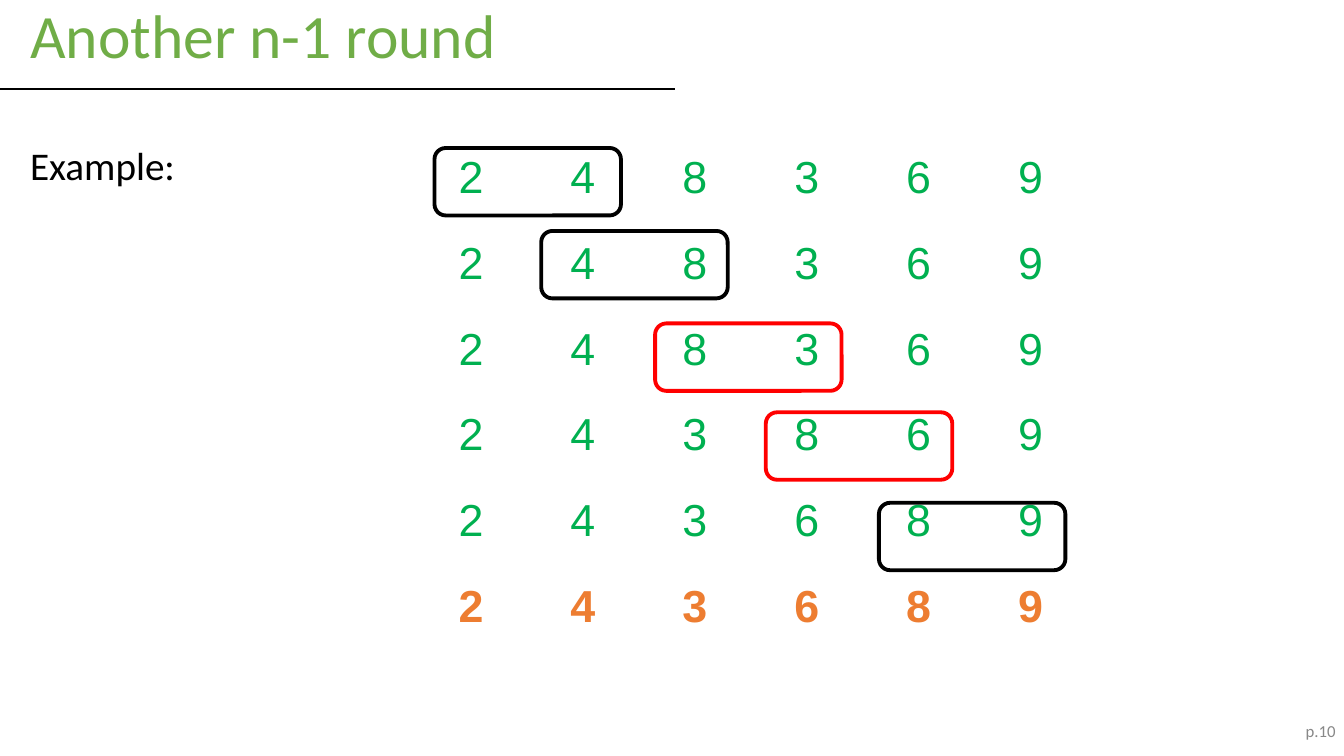
from lxml import etree
from pptx import Presentation
from pptx.dml.color import RGBColor
from pptx.enum import shapes, text
from pptx.oxml.ns import qn
from pptx.util import Cm, Pt

BLACK = RGBColor(0x00, 0x00, 0x00)
RED = RGBColor(0xFF, 0x00, 0x00)
GREEN = RGBColor(0x00, 0xB0, 0x50)
ORANGE = RGBColor(0xED, 0x7D, 0x31)
TITLE_GREEN = RGBColor(0x70, 0xAD, 0x47)
GRAY = RGBColor(0x88, 0x88, 0x88)

START = [2, 4, 8, 3, 6, 9]
# Left and top of the frame around each compared pair, in cm
FRAME_POSITIONS = [(10.95, 3.73), (13.64, 5.82), (16.51, 8.15),
                   (19.3, 10.39), (22.15, 12.67)]


def bubble_round(values):
    """Return the list before each comparison and after the last, and the swaps."""
    current = list(values)
    rows, swaps = [list(current)], []
    for i in range(len(current) - 1):
        swapped = current[i] > current[i + 1]
        if swapped:
            current[i], current[i + 1] = current[i + 1], current[i]
        swaps.append(swapped)
        rows.append(list(current))
    return rows, swaps


def set_font(paragraph, name, size, color, bold=False):
    font = paragraph.font
    font.name, font.size, font.bold = name, Pt(size), bold
    font.color.rgb = color


def write_text(shape, content, size, color, margin_left=Cm(0.25),
               align=text.PP_ALIGN.LEFT, anchor=text.MSO_ANCHOR.TOP, spacing=0.9):
    frame = shape.text_frame
    frame.word_wrap = True
    frame.auto_size = text.MSO_AUTO_SIZE.NONE
    frame.vertical_anchor = anchor
    frame.margin_left = margin_left
    paragraph = frame.paragraphs[0]
    paragraph.text = content
    paragraph.alignment = align
    paragraph.line_spacing = spacing
    paragraph.space_before = Pt(0)
    set_font(paragraph, "Calibri", size, color)


def add_title(slide, content):
    title = slide.shapes.title
    title.left, title.top, title.width, title.height = Cm(0), Cm(0), Cm(33.87), Cm(2.54)
    write_text(title, content, 44, TITLE_GREEN, margin_left=Cm(0.76))


def add_rule(slide):
    rule = slide.shapes.add_connector(
        shapes.MSO_CONNECTOR.STRAIGHT, Cm(0), Cm(2.25), Cm(17), Cm(2.25))
    rule.line.color.rgb = BLACK
    rule.line.width = Pt(1.5)
    etree.SubElement(rule.element.spPr, qn("a:effectLst"))


def add_number_table(slide, rows):
    column_width, row_height = Cm(2.82), Cm(2.16)
    count = len(rows[0])
    table = slide.shapes.add_table(
        len(rows), count, Cm(10.46), Cm(3.12),
        column_width * count, row_height * len(rows)).table
    table.first_row = table.horz_banding = False
    for column in table.columns:
        column.width = column_width
    for row, values in zip(table.rows, rows):
        row.height = row_height
        last = values is rows[-1]
        for cell, value in zip(row.cells, values):
            cell.fill.background()
            cell.margin_top = Cm(0.74)
            # No cell borders
            for side in ("lnL", "lnR", "lnT", "lnB"):
                border = etree.Element(qn(f"a:{side}"))
                etree.SubElement(border, qn("a:noFill"))
                fill = cell._tc.tcPr.find(qn("a:noFill"))
                fill.addprevious(border)
            paragraph = cell.text_frame.paragraphs[0]
            paragraph.text = str(value)
            paragraph.alignment = text.PP_ALIGN.CENTER
            set_font(paragraph, "Arial", 32, ORANGE if last else GREEN, bold=last)


def add_pair_frame(slide, left, top, color):
    frame = slide.shapes.add_shape(
        shapes.MSO_SHAPE.ROUNDED_RECTANGLE, Cm(left), Cm(top), Cm(4.7), Cm(1.7))
    frame.shadow.inherit = False
    frame.fill.background()
    frame.line.color.rgb = color
    frame.line.width = Pt(2.75)


def main():
    presentation = Presentation()
    presentation.slide_width, presentation.slide_height = Cm(33.87), Cm(19.05)
    slide = presentation.slides.add_slide(presentation.slide_layouts[5])

    # Heading and label
    add_rule(slide)
    add_title(slide, "Another n-1 round")
    label = slide.shapes.add_textbox(Cm(0), Cm(3.58), Cm(10.4), Cm(1.5))
    write_text(label, "Example:", 28, BLACK, margin_left=Cm(0.76))

    # One round of bubble sort, with swapped pairs framed in red
    rows, swaps = bubble_round(START)
    add_number_table(slide, rows)
    for (left, top), swapped in zip(FRAME_POSITIONS, swaps):
        add_pair_frame(slide, left, top, RED if swapped else BLACK)

    # Page number
    page = slide.shapes.add_textbox(Cm(26.85), Cm(17.78), Cm(7.06), Cm(1.27))
    write_text(page, "p.10", 12, GRAY, align=text.PP_ALIGN.RIGHT,
               anchor=text.MSO_ANCHOR.MIDDLE, spacing=1.0)

    presentation.save("out.pptx")


if __name__ == "__main__":
    main()
